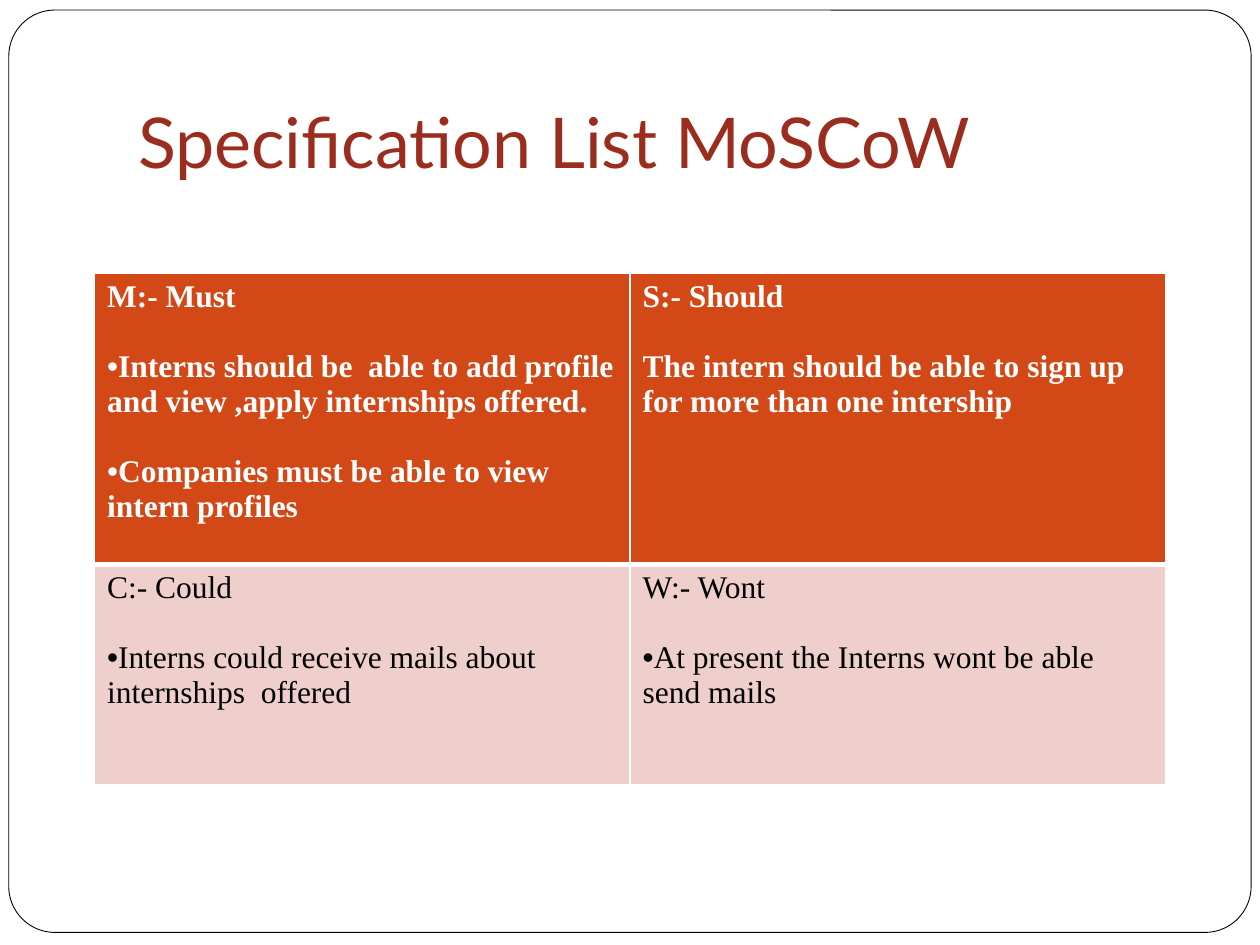
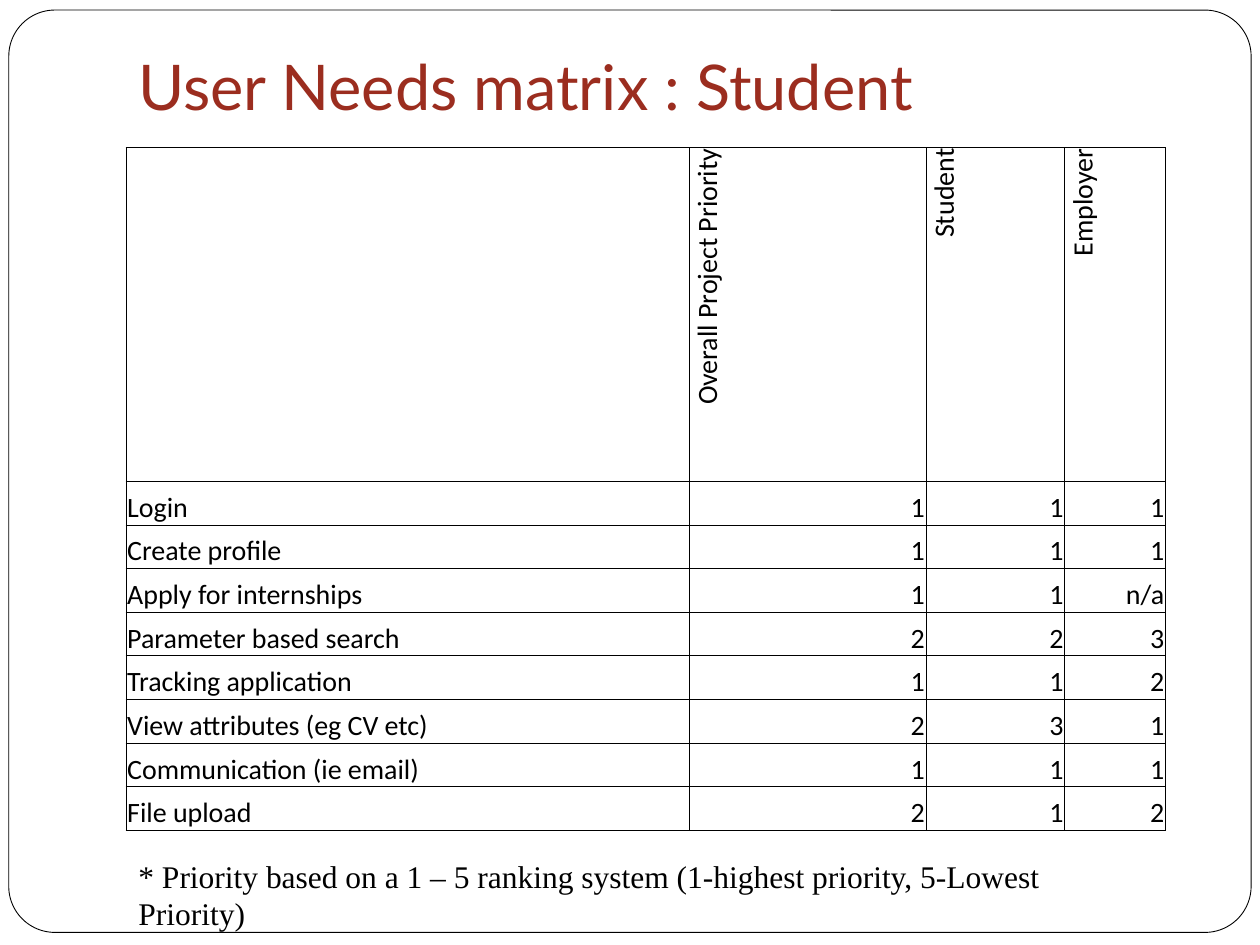
import lxml.etree
import pptx
import pptx.dml.color
import pptx.enum.shapes
import pptx.enum.text
import pptx.oxml.ns
import pptx.util

ANCHOR = pptx.enum.text.MSO_ANCHOR
ALIGN = pptx.enum.text.PP_ALIGN
Inches = pptx.util.Inches

MOSCOW_TITLE = "Specification List MoSCoW"
MOSCOW = [
    [
        ("M:- Must", [
            "•Interns should be  able to add profile and view ,apply internships offered.",
            "•Companies must be able to view intern profiles",
        ]),
        ("S:- Should", ["The intern should be able to sign up for more than one intership"]),
    ],
    [
        ("C:- Could", ["•Interns could receive mails about internships  offered"]),
        ("W:- Wont", ["•At present the Interns wont be able send mails"]),
    ],
]
NEEDS_TITLE = "User Needs matrix : Student"
NEEDS = [
    ("", "Overall Project Priority", "Student", "Employer"),
    ("Login", "1", "1", "1"),
    ("Create profile", "1", "1", "1"),
    ("Apply for internships", "1", "1", "n/a"),
    ("Parameter based search", "2", "2", "3"),
    ("Tracking application", "1", "1", "2"),
    ("View attributes (eg CV etc)", "2", "3", "1"),
    ("Communication (ie email)", "1", "1", "1"),
    ("File upload", "2", "1", "2"),
]
NEEDS_NOTE = "* Priority based on a 1 – 5 ranking system (1-highest priority, 5-Lowest Priority)"

COLORS = {"title": "9B2D1F", "header": "D34817", "band": "EFCFCC",
          "paper": "FFFFFF", "ink": "000000"}
WIDTH, HEIGHT = 10, 7.5
TITLE_TOP, TITLE_WIDTH = 0.3, 8.5
LEFT, RIGHT = 1, 9.25
MOSCOW_BOX = (0.75, 2.17, 8.5)
MOSCOW_ROWS = [2.31, 1.75]
NEEDS_TOP, NEEDS_HEIGHT, NEEDS_HEADER = 1.17, 5.42, 2.65
NEEDS_COLUMNS = [4.47, 1.88, 1.1]
BLANK_LINE = 20

TITLE_FONT = {"name": "Lato", "color": "title"}
MOSCOW_FONT = {"name": "Times New Roman", "size": 18}
NEEDS_FONT = {"name": "Calibri", "size": 16, "color": "ink"}
NOTE_FONT = {**MOSCOW_FONT, "color": "ink"}
TITLE_FRAME = {"word_wrap": True, "vertical_anchor": ANCHOR.BOTTOM,
               "margin_bottom": Inches(0.1)}
NOTE_FRAME = {"word_wrap": True, "auto_size": pptx.enum.text.MSO_AUTO_SIZE.SHAPE_TO_FIT_TEXT}
NEEDS_CELL = {"vertical_anchor": ANCHOR.BOTTOM, "margin_left": Inches(0.01),
              "margin_top": Inches(0.01), "margin_right": Inches(0.01), "margin_bottom": 0}


def rgb(name):
    return pptx.dml.color.RGBColor.from_string(COLORS[name])


def set_all(target, values):
    for name, value in values.items():
        setattr(target, name, value)


def write(paragraph, text, font):
    run = paragraph.add_run()
    run.text = text
    values = dict(font)
    run.font.color.rgb = rgb(values.pop("color"))
    values["size"] = pptx.util.Pt(values["size"])
    set_all(run.font, values)


def add_bullet(paragraph):
    properties = paragraph._p.get_or_add_pPr()
    properties.set("marL", "0")
    properties.set("indent", "0")
    for tag, name, value in (("a:buFont", "typeface", "Arial"), ("a:buChar", "char", "•")):
        lxml.etree.SubElement(properties, pptx.oxml.ns.qn(tag)).set(name, value)


def add_text(slide, box, text, font, frame):
    shape = slide.shapes.add_textbox(*map(Inches, box))
    set_all(shape.text_frame, frame)
    write(shape.text_frame.paragraphs[0], text, font)


def add_slide(presentation, title, size, title_height):
    slide = presentation.slides.add_slide(presentation.slide_layouts[6])
    frame = slide.shapes.add_shape(pptx.enum.shapes.MSO_SHAPE.ROUNDED_RECTANGLE,
                                   *map(Inches, (0.07, 0.08, WIDTH - 0.14, 7.32)))
    frame.adjustments[0] = 0.05
    frame.shadow.inherit = False
    frame.fill.solid()
    frame.fill.fore_color.rgb = rgb("paper")
    frame.line.color.rgb = rgb("ink")
    frame.line.width = pptx.util.Pt(0.5)
    add_text(slide, (LEFT, TITLE_TOP, TITLE_WIDTH, title_height), title,
             {**TITLE_FONT, "size": size}, TITLE_FRAME)
    return slide


def add_table(slide, left, top, columns, rows):
    box = map(Inches, (left, top, sum(columns), sum(rows)))
    table = slide.shapes.add_table(len(rows), len(columns), *box).table
    set_all(table, {"first_row": False, "horz_banding": False})
    for column, width in zip(table.columns, columns):
        column.width = Inches(width)
    for row, height in zip(table.rows, rows):
        row.height = Inches(height)
    return table


def set_borders(cell, color, widths):
    properties = cell._tc.get_or_add_tcPr()
    for side, width in zip("LRTB", widths):
        line = lxml.etree.SubElement(properties, pptx.oxml.ns.qn(f"a:ln{side}"))
        line.set("w", str(pptx.util.Pt(width)))
        fill = lxml.etree.SubElement(line, pptx.oxml.ns.qn("a:solidFill"))
        lxml.etree.SubElement(fill, pptx.oxml.ns.qn("a:srgbClr")).set("val", COLORS[color])


def build_moscow(presentation):
    slide = add_slide(presentation, MOSCOW_TITLE, 40, 1.25)
    left, top, width = MOSCOW_BOX
    table = add_table(slide, left, top, [width / 2] * 2, MOSCOW_ROWS)
    styles = [
        ("header", {**MOSCOW_FONT, "color": "paper", "bold": True}, (1, 1, 1, 3)),
        ("band", {**MOSCOW_FONT, "color": "ink", "bold": False}, (1, 1, 3, 1)),
    ]
    for row, (entries, (fill, font, widths)) in enumerate(zip(MOSCOW, styles)):
        for column, (heading, points) in enumerate(entries):
            cell = table.cell(row, column)
            set_borders(cell, "paper", widths)
            cell.fill.solid()
            cell.fill.fore_color.rgb = rgb(fill)
            write(cell.text_frame.paragraphs[0], heading, font)
            for point in points:
                paragraph = cell.text_frame.add_paragraph()
                paragraph.space_before = pptx.util.Pt(BLANK_LINE)
                if point.startswith("•"):
                    add_bullet(paragraph)
                write(paragraph, point.lstrip("•"), font)


def build_needs(presentation):
    slide = add_slide(presentation, NEEDS_TITLE, 36, 0.78)
    columns = NEEDS_COLUMNS + [RIGHT - LEFT - sum(NEEDS_COLUMNS)]
    count = len(NEEDS) - 1
    rows = [NEEDS_HEADER] + [(NEEDS_HEIGHT - NEEDS_HEADER) / count] * count
    table = add_table(slide, LEFT, NEEDS_TOP, columns, rows)
    for row, texts in enumerate(NEEDS):
        for column, text in enumerate(texts):
            cell = table.cell(row, column)
            set_borders(cell, "ink", [0.5] * 4)
            cell.fill.background()
            set_all(cell, NEEDS_CELL)
            if not text:
                continue
            if row == 0:
                cell._tc.get_or_add_tcPr().set("vert", "vert270")
            paragraph = cell.text_frame.paragraphs[0]
            paragraph.alignment = ALIGN.RIGHT if column else ALIGN.LEFT
            write(paragraph, text, NEEDS_FONT)
    add_text(slide, (LEFT, 6.75, RIGHT - LEFT, 0.4), NEEDS_NOTE, NOTE_FONT, NOTE_FRAME)


def main():
    """Build the requirements slides and save them."""
    presentation = pptx.Presentation()
    set_all(presentation, {"slide_width": Inches(WIDTH), "slide_height": Inches(HEIGHT)})
    build_moscow(presentation)
    build_needs(presentation)
    presentation.save("out.pptx")


if __name__ == "__main__":
    main()
